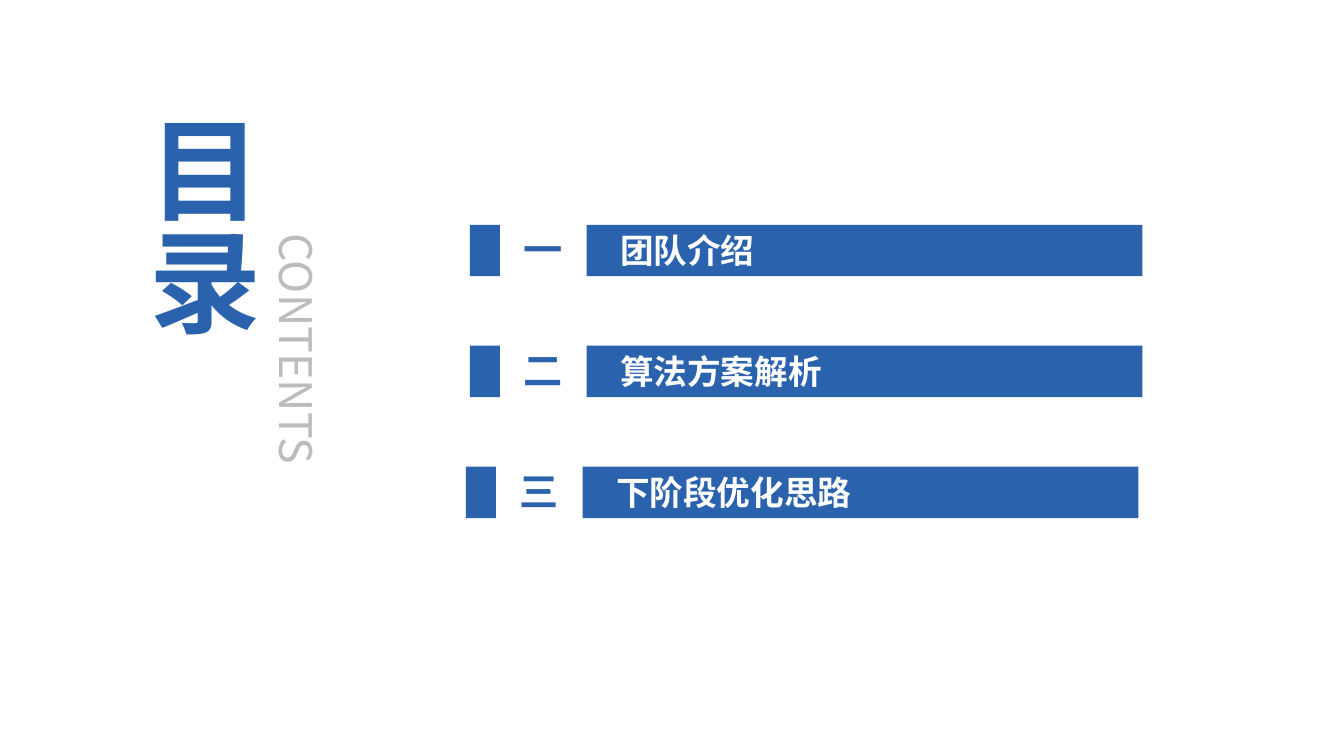
from lxml.etree import SubElement
from pptx import Presentation
from pptx.dml.color import RGBColor
from pptx.enum.shapes import MSO_SHAPE as Shape
from pptx.enum.text import MSO_ANCHOR as Anchor, PP_ALIGN as Align
from pptx.oxml.ns import qn
from pptx.util import Inches, Pt

BLUE = RGBColor(0x2A, 0x62, 0xAD)
GREY = RGBColor(0xBC, 0xBC, 0xBC)
WHITE = RGBColor(0xFF, 0xFF, 0xFF)
FONT = "Noto Sans CJK SC"

TOP, PITCH = 2.23, 1.2
# Left edge of the bar, number and topic of each row
ROWS = [
    (4.66, "一", "团队介绍"),
    (4.66, "二", "算法方案解析"),
    (4.62, "三", "下阶段优化思路"),
]


def write(frame, text, size, color, bold=True, align=Align.LEFT):
    frame.word_wrap = True
    frame.vertical_anchor = Anchor.MIDDLE
    para = frame.paragraphs[0]
    para.alignment = align
    run = para.add_run()
    run.text = text
    font = run.font
    font.size = Pt(size)
    font.bold = bold
    font.color.rgb = color
    font.name = FONT
    SubElement(font._element, qn("a:ea"), typeface=FONT)


def add_rect(slide, left, top, width, height, fill):
    rect = slide.shapes.add_shape(
        Shape.RECTANGLE, Inches(left), Inches(top), Inches(width), Inches(height))
    rect.shadow.inherit = False
    rect.fill.solid()
    rect.fill.fore_color.rgb = fill
    rect.line.fill.background()
    return rect


def add_row(slide, left, top, number, topic):
    """Draw a blue bar, cut by a white block that holds the number."""
    bar = add_rect(slide, left, top, 6.67, 0.51, BLUE)
    bar.text_frame.margin_left = Inches(1.49)
    write(bar.text_frame, topic, 24, WHITE)
    block = add_rect(slide, left + 0.3, top - 0.26, 0.86, 1, WHITE)
    write(block.text_frame, number, 28, BLUE, align=Align.CENTER)


def add_title(slide, left, top, height, text, size, color, bold):
    """Add a text box whose text runs downwards."""
    box = slide.shapes.add_textbox(
        Inches(left), Inches(top), Inches(0.79), Inches(height))
    write(box.text_frame, text, size, color, bold)
    box.text_frame._txBody.bodyPr.set("vert", "eaVert")


def main():
    deck = Presentation()
    deck.slide_width = Inches(13.33)
    deck.slide_height = Inches(7.5)
    slide = deck.slides.add_slide(deck.slide_layouts[6])
    add_title(slide, 1.6, 1.03, 3.06, "目录", 80, BLUE, True)
    add_title(slide, 2.55, 2.22, 2.91, "CONTENTS", 32, GREY, False)
    for i, (left, number, topic) in enumerate(ROWS):
        add_row(slide, left, TOP + i * PITCH, number, topic)
    deck.save("out.pptx")


if __name__ == "__main__":
    main()
